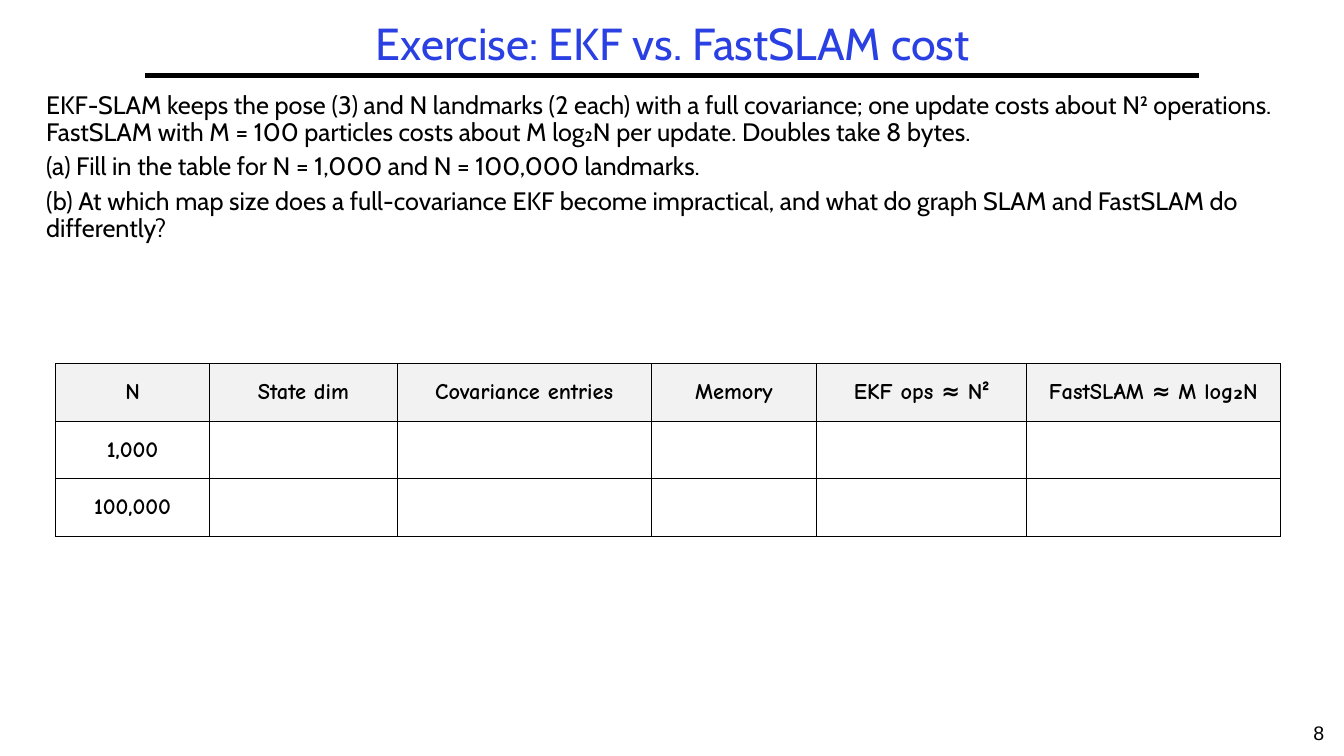
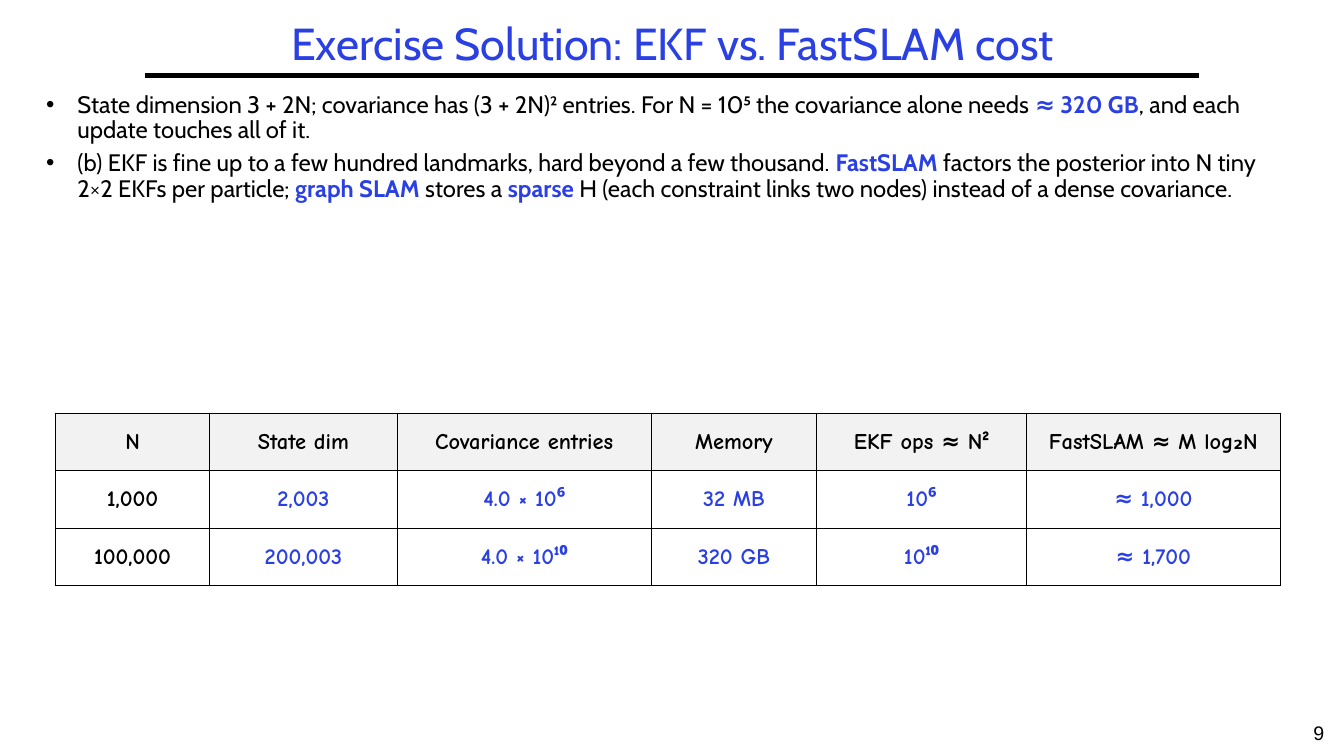
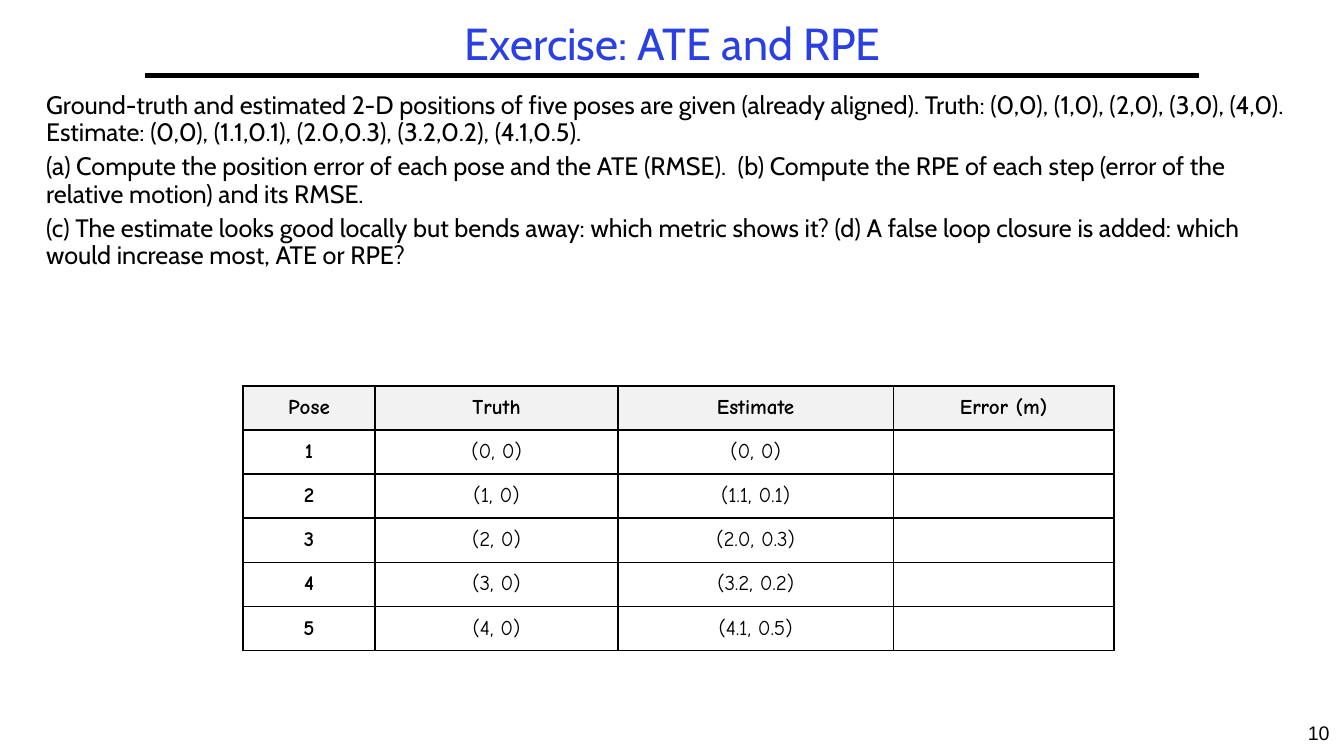
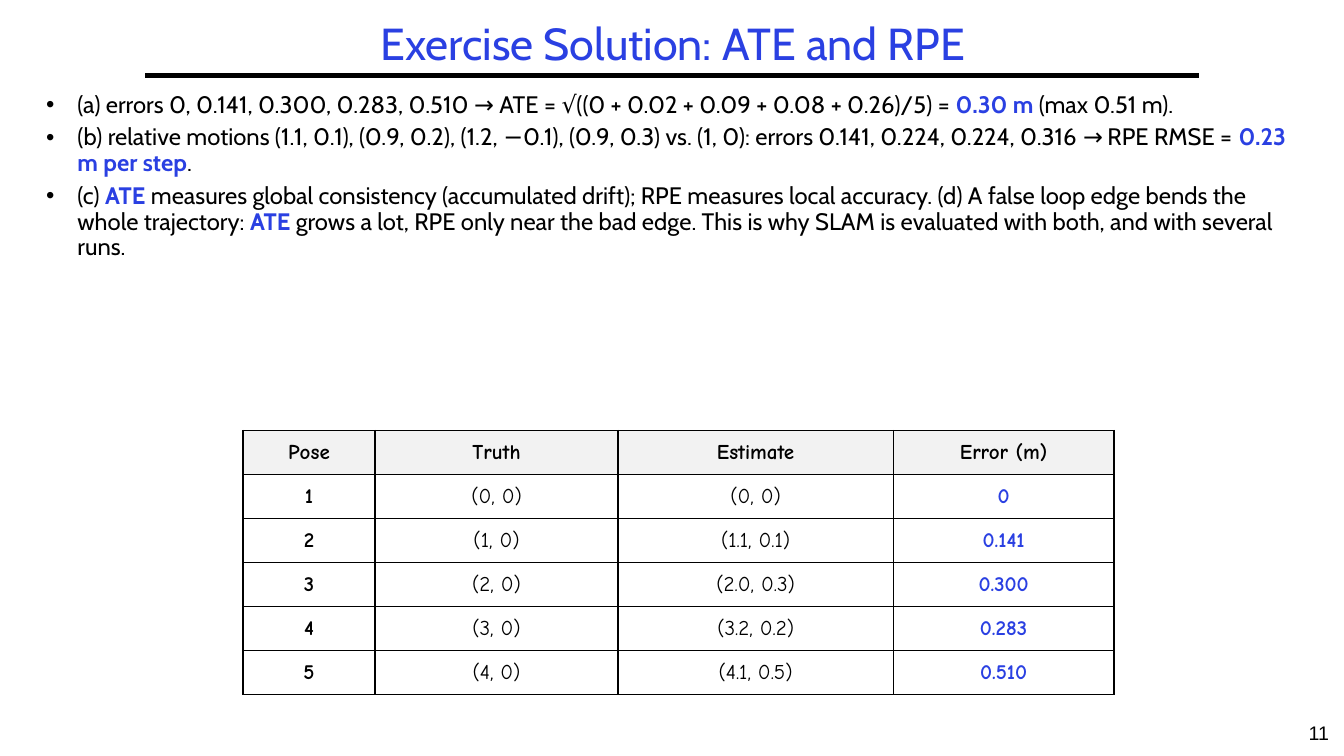
from lxml.etree import SubElement
from pptx import Presentation
from pptx.dml.color import RGBColor
from pptx.enum.shapes import MSO_CONNECTOR
from pptx.enum.text import MSO_ANCHOR, PP_ALIGN
from pptx.oxml.ns import qn
from pptx.util import Emu, Pt

EMU_PER_PX = 9144  # 100 px to the inch
COLORS = {"ink": "000000", "accent": "2A40E2", "header": "F2F2F2", "paper": "FFFFFF"}
BODY_FONT, TABLE_FONT, NUMBER_FONT = "Cabin", "Comic Neue", "Arial"

# Table contents, answers included
COST_ROWS = [
    ["N", "State dim", "Covariance entries", "Memory", "EKF ops ≈ N²", "FastSLAM ≈ M log₂N"],
    ["1,000", "2,003", "4.0 × 10⁶", "32 MB", "10⁶", "≈ 1,000"],
    ["100,000", "200,003", "4.0 × 10¹⁰", "320 GB", "10¹⁰", "≈ 1,700"],
]
ERROR_ROWS = [
    ["Pose", "Truth", "Estimate", "Error (m)"],
    ["1", "(0, 0)", "(0, 0)", "0"],
    ["2", "(1, 0)", "(1.1, 0.1)", "0.141"],
    ["3", "(2, 0)", "(2.0, 0.3)", "0.300"],
    ["4", "(3, 0)", "(3.2, 0.2)", "0.283"],
    ["5", "(4, 0)", "(4.1, 0.5)", "0.510"],
]
# Columns from "answers" on hold the solution; "plain" columns are not bold
COST_TABLE = {"rows": COST_ROWS, "left": 55, "widths": [153, 186, 252, 164, 208, 252],
              "height": 171, "size": 16, "answers": 1, "plain": ()}
ERROR_TABLE = {"rows": ERROR_ROWS, "left": 241, "widths": [131, 241, 273, 219],
               "height": 262, "size": 15, "answers": 3, "plain": (1, 2)}

# Slide contents; *asterisks* mark highlighted words
SLIDES = [
    {"title": "Exercise: EKF vs. FastSLAM cost", "solved": False, "body_height": 262,
     "table": COST_TABLE, "table_top": 361, "body": [
         "EKF-SLAM keeps the pose (3) and N landmarks (2 each) with a full covariance; one update "
         "costs about N² operations. FastSLAM with M = 100 particles costs about M log₂N per update. "
         "Doubles take 8 bytes.",
         "(a) Fill in the table for N = 1,000 and N = 100,000 landmarks.",
         "(b) At which map size does a full-covariance EKF become impractical, and what do graph "
         "SLAM and FastSLAM do differently?"]},
    {"title": "Exercise Solution: EKF vs. FastSLAM cost", "solved": True, "body_height": 306,
     "table": COST_TABLE, "table_top": 410, "body": [
         "State dimension 3 + 2N; covariance has (3 + 2N)² entries. For N = 10⁵ the covariance "
         "alone needs *≈ 320 GB*, and each update touches all of it.",
         "(b) EKF is fine up to a few hundred landmarks, hard beyond a few thousand. *FastSLAM* "
         "factors the posterior into N tiny 2×2 EKFs per particle; *graph SLAM* stores a *sparse* H "
         "(each constraint links two nodes) instead of a dense covariance."]},
    {"title": "Exercise: ATE and RPE", "solved": False, "body_height": 284,
     "table": ERROR_TABLE, "table_top": 383, "body": [
         "Ground-truth and estimated 2-D positions of five poses are given (already aligned). "
         "Truth: (0,0), (1,0), (2,0), (3,0), (4,0). Estimate: (0,0), (1.1,0.1), (2.0,0.3), "
         "(3.2,0.2), (4.1,0.5).",
         "(a) Compute the position error of each pose and the ATE (RMSE).  (b) Compute the RPE of "
         "each step (error of the relative motion) and its RMSE.",
         "(c) The estimate looks good locally but bends away: which metric shows it? (d) A false "
         "loop closure is added: which would increase most, ATE or RPE?"]},
    {"title": "Exercise Solution: ATE and RPE", "solved": True, "body_height": 328,
     "table": ERROR_TABLE, "table_top": 427, "body": [
         "(a) errors 0, 0.141, 0.300, 0.283, 0.510 → ATE = √((0 + 0.02 + 0.09 + 0.08 + 0.26)/5) = "
         "*0.30 m* (max 0.51 m).",
         "(b) relative motions (1.1, 0.1), (0.9, 0.2), (1.2, −0.1), (0.9, 0.3) vs. (1, 0): errors "
         "0.141, 0.224, 0.224, 0.316 → RPE RMSE = *0.23 m per step*.",
         "(c) *ATE* measures global consistency (accumulated drift); RPE measures local accuracy. "
         "(d) A false loop edge bends the whole trajectory: *ATE* grows a lot, RPE only near the "
         "bad edge. This is why SLAM is evaluated with both, and with several runs."]},
]
FIRST_NUMBER = 8


def px(length):
    return Emu(length * EMU_PER_PX)


def color(name):
    return RGBColor.from_string(COLORS[name])


class Deck:
    """Holds the shared style and the current slide."""

    def __init__(self):
        self.presentation = Presentation()
        self.presentation.slide_width = px(1333)
        self.presentation.slide_height = px(750)
        self.slide = None

    def new_slide(self, title, number):
        self.slide = self.presentation.slides.add_slide(self.presentation.slide_layouts[6])
        self.slide.background.fill.solid()
        self.slide.background.fill.fore_color.rgb = color("paper")
        self.rule(144, 75, 1189)
        self.label(str(number), 1283, 710, 50, 40, NUMBER_FONT, 14, "ink")
        heading = self.label(title, 144, 17, 1047, 58, BODY_FONT, 32, "accent")
        heading.vertical_anchor = MSO_ANCHOR.MIDDLE
        heading.paragraphs[0].line_spacing = 0.9

    def style(self, font, name, size, ink, bold=False):
        font.name, font.size, font.bold = name, Pt(size), bold
        font.color.rgb = color(ink)

    def rule(self, left, top, right):
        line = self.slide.shapes.add_connector(
            MSO_CONNECTOR.STRAIGHT, px(left), px(top), px(right), px(top))
        line.line.width = Pt(3)
        line.line.color.rgb = color("ink")
        SubElement(line._element.spPr, qn("a:effectLst"))

    def text_frame(self, left, top, width, height):
        box = self.slide.shapes.add_textbox(px(left), px(top), px(width), px(height))
        box.text_frame.word_wrap = True
        return box.text_frame

    def label(self, text, left, top, width, height, font, size, ink):
        frame = self.text_frame(left, top, width, height)
        frame.text = text
        paragraph = frame.paragraphs[0]
        paragraph.alignment = PP_ALIGN.CENTER
        self.style(paragraph.runs[0].font, font, size, ink)
        return frame

    def body(self, texts, height, bulleted):
        frame = self.text_frame(36, 87, 1258, height)
        size = 17 if bulleted else 18
        for index, text in enumerate(texts):
            paragraph = frame.add_paragraph() if index else frame.paragraphs[0]
            if bulleted:
                self.bullet(paragraph)
            paragraph.line_spacing = 0.9
            if index:
                paragraph.space_before = Pt(5)
            for part, words in enumerate(text.split("*")):
                marked = part % 2 == 1
                run = paragraph.add_run()
                run.text = words
                self.style(run.font, BODY_FONT, size, "accent" if marked else "ink", marked)

    def bullet(self, paragraph):
        properties = paragraph._p.get_or_add_pPr()
        properties.set("marL", str(px(31)))
        properties.set("indent", str(-px(31)))
        SubElement(properties, qn("a:buFont"), typeface=NUMBER_FONT)
        SubElement(properties, qn("a:buChar"), char="•")

    def table(self, top, solved, rows, left, widths, height, size, answers, plain):
        table = self.slide.shapes.add_table(
            len(rows), len(widths), px(left), px(top), px(sum(widths)), px(height)).table
        table.first_row = table.horz_banding = False
        for column, width in zip(table.columns, widths):
            column.width = px(width)
        for row_index, row in enumerate(rows):
            table.rows[row_index].height = px(height) // len(rows)
            for column_index, text in enumerate(row):
                header = row_index == 0
                answer = not header and column_index >= answers
                cell = table.cell(row_index, column_index)
                self.frame_cell(cell, header)
                if answer and not solved:
                    continue
                cell.text = text
                paragraph = cell.text_frame.paragraphs[0]
                paragraph.alignment = PP_ALIGN.CENTER
                self.style(paragraph.runs[0].font, TABLE_FONT, size,
                           "accent" if answer else "ink",
                           header or column_index not in plain)

    def frame_cell(self, cell, header):
        cell.vertical_anchor = MSO_ANCHOR.MIDDLE
        cell.margin_left = cell.margin_right = px(7)
        cell.margin_top = cell.margin_bottom = px(3)
        properties = cell._tc.get_or_add_tcPr()
        for side in ("lnL", "lnR", "lnT", "lnB"):
            border = SubElement(properties, qn(f"a:{side}"), w=str(Pt(1)))
            fill = SubElement(border, qn("a:solidFill"))
            SubElement(fill, qn("a:srgbClr"), val=COLORS["ink"])
        if header:
            cell.fill.solid()
            cell.fill.fore_color.rgb = color("header")
        else:
            cell.fill.background()


def main():
    deck = Deck()
    for number, content in enumerate(SLIDES, FIRST_NUMBER):
        deck.new_slide(content["title"], number)
        deck.body(content["body"], content["body_height"], content["solved"])
        deck.table(content["table_top"], content["solved"], **content["table"])
    deck.presentation.save("out.pptx")


if __name__ == "__main__":
    main()
